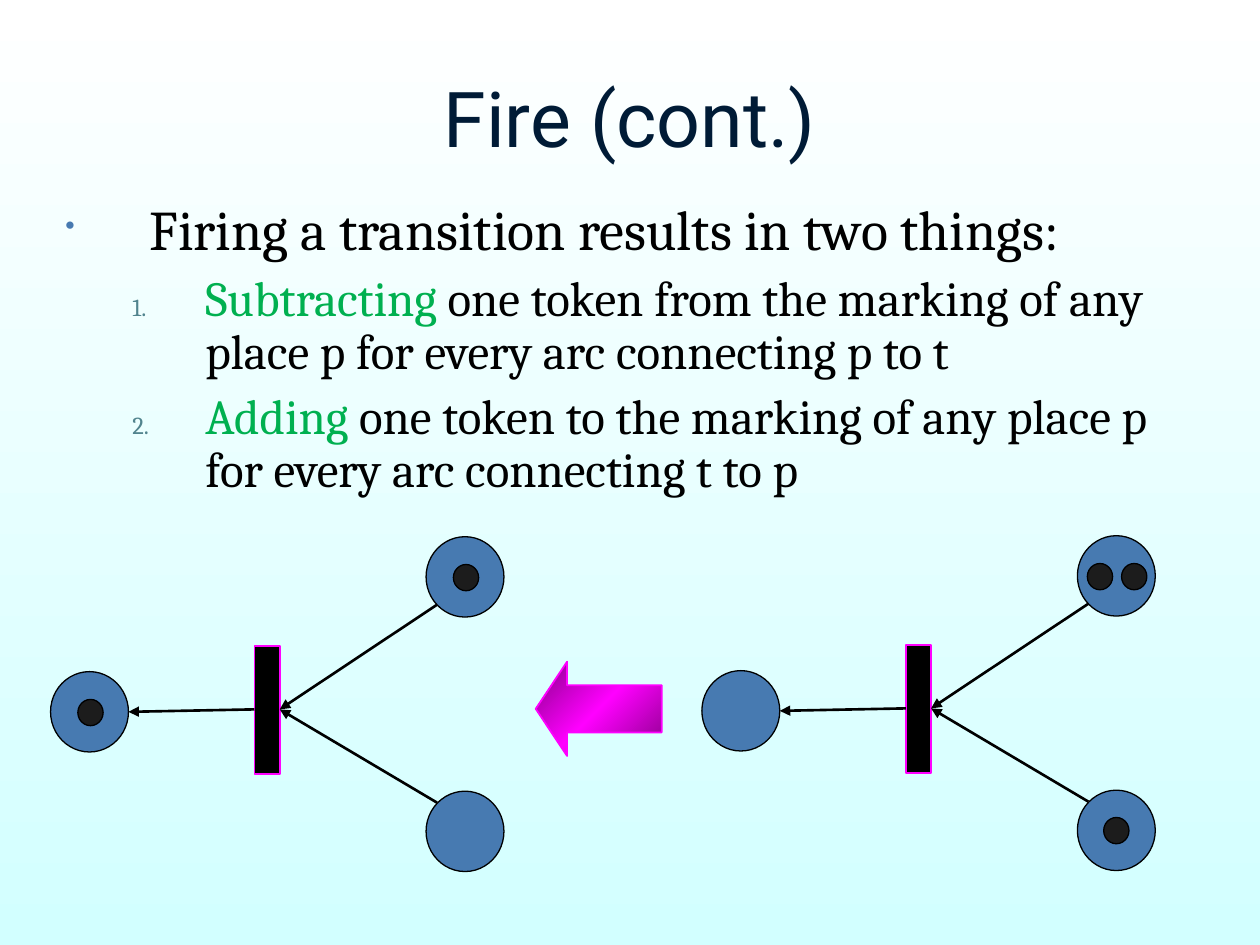
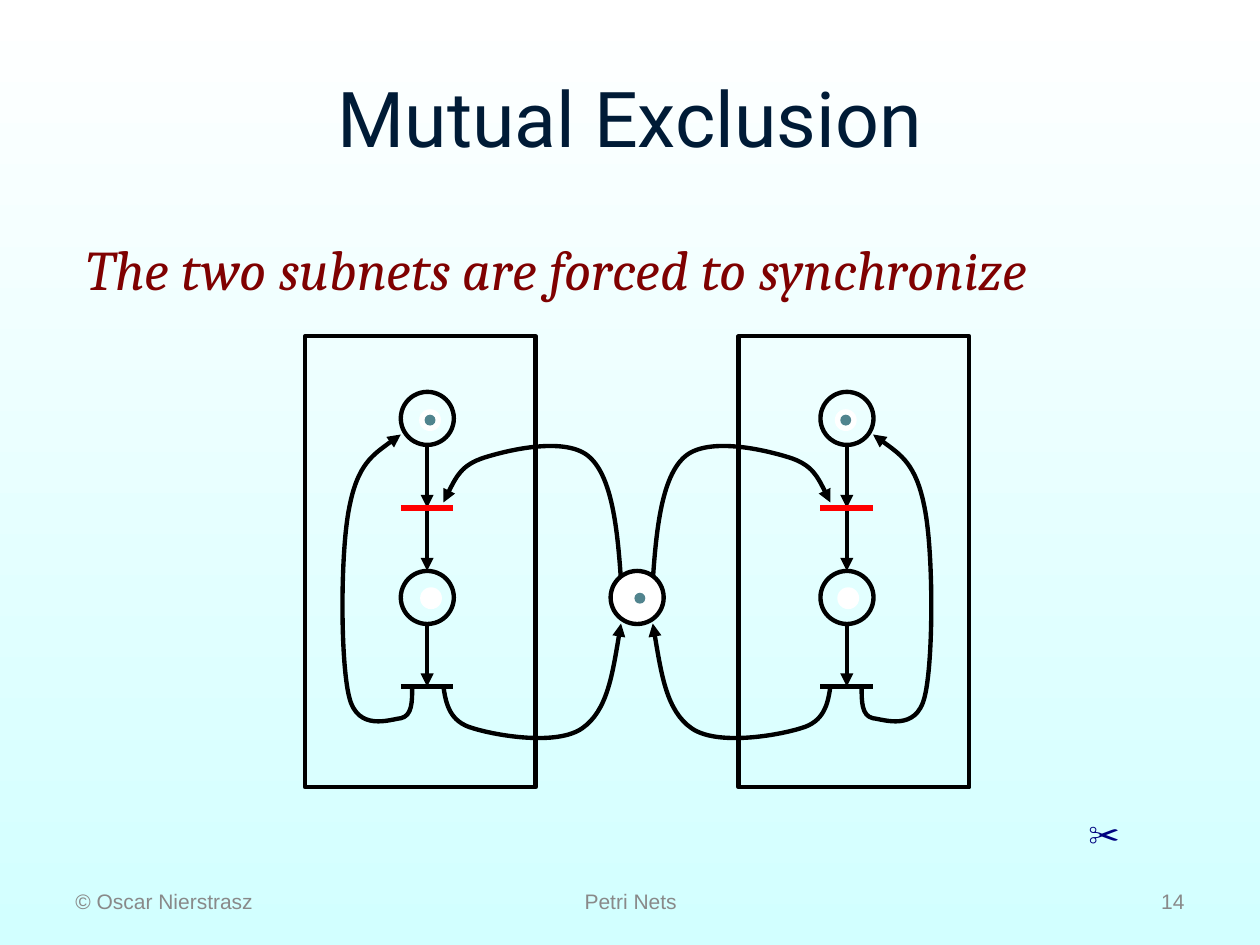
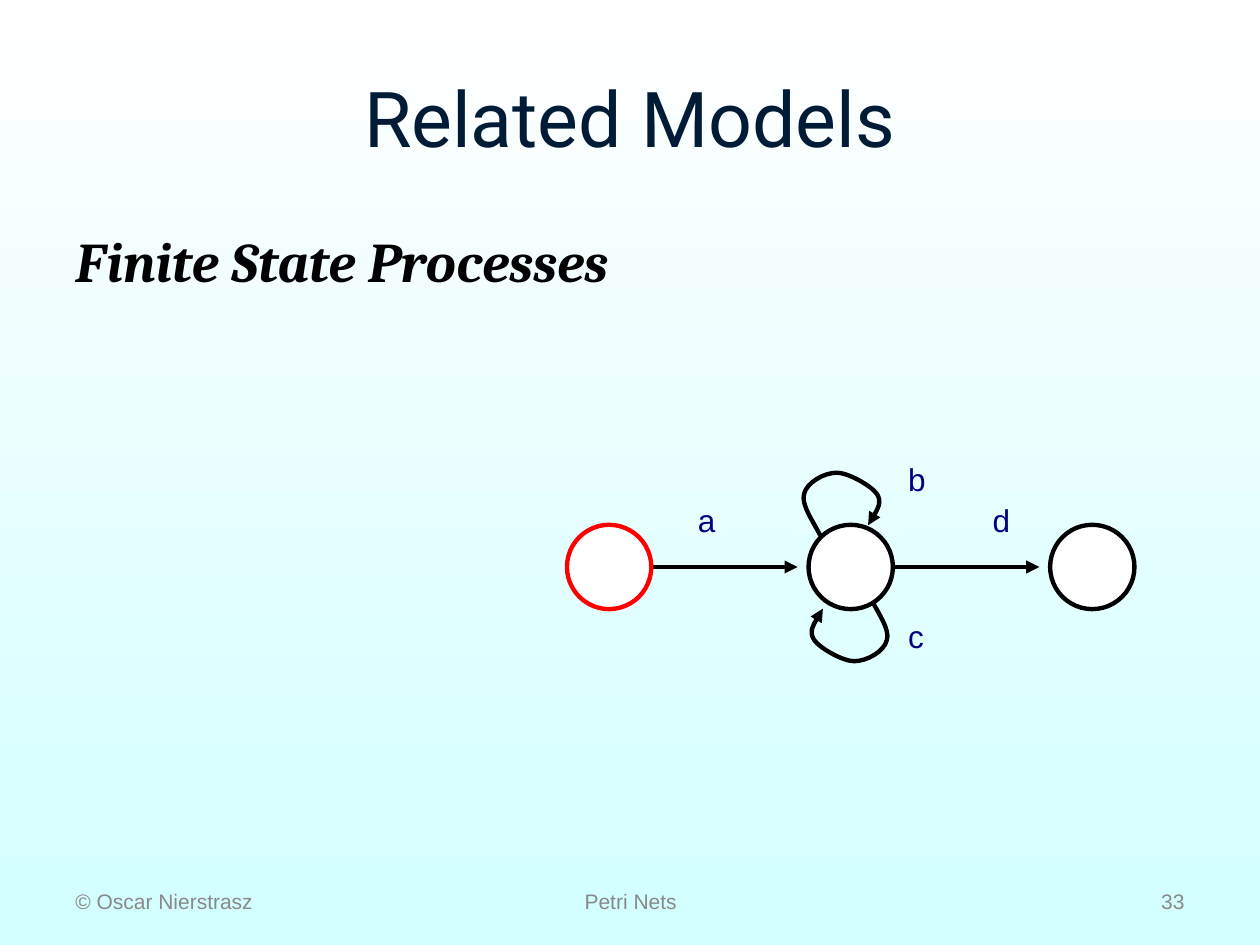
"""Build three slides about Petri nets and related models."""
from copy import deepcopy

from lxml import etree
from pptx import Presentation
from pptx.dml.color import RGBColor
from pptx.enum.shapes import MSO_CONNECTOR, MSO_SHAPE
from pptx.enum.text import MSO_ANCHOR, PP_ALIGN
from pptx.oxml.ns import qn
from pptx.util import Cm, Pt

OVAL, RECTANGLE, LEFT_ARROW = MSO_SHAPE.OVAL, MSO_SHAPE.RECTANGLE, MSO_SHAPE.LEFT_ARROW
STRAIGHT = MSO_CONNECTOR.STRAIGHT
LEFT, CENTER, RIGHT = PP_ALIGN.LEFT, PP_ALIGN.CENTER, PP_ALIGN.RIGHT
TOP, MIDDLE = MSO_ANCHOR.TOP, MSO_ANCHOR.MIDDLE
LINE, CURVE = "line", "curve"

BLACK = RGBColor(0x00, 0x00, 0x00)
WHITE = RGBColor(0xFF, 0xFF, 0xFF)
PALE_CYAN = RGBColor(0xD2, 0xFF, 0xFF)
NAVY = RGBColor(0x00, 0x1B, 0x36)
LABEL_BLUE = RGBColor(0x00, 0x02, 0x7F)
GREY = RGBColor(0x89, 0x89, 0x89)
BLUE = RGBColor(0x47, 0x7A, 0xB1)
TEAL = RGBColor(0x51, 0x84, 0x8E)
GREEN = RGBColor(0x00, 0xB0, 0x50)
DARK_RED = RGBColor(0x7F, 0x01, 0x01)
RED = RGBColor(0xFF, 0x00, 0x00)
CHARCOAL = RGBColor(0x1C, 0x1C, 0x1C)
MAGENTA = RGBColor(0xFF, 0x00, 0xFF)
PURPLE = RGBColor(0x8A, 0x00, 0x8A)


def add_text(page, place, text, *, size=18, font="Arial", color=LABEL_BLUE, align=LEFT,
             anchor=TOP, bold=False, italic=False, wrap=True):
    """Add a text box; text is a string or paragraphs of (text, size, color) spans."""
    box = page.shapes.add_textbox(*[Cm(length) for length in place])
    frame = box.text_frame
    frame.word_wrap = wrap
    frame.vertical_anchor = anchor
    rows = [[(text, size, color)]] if isinstance(text, str) else text
    for index, row in enumerate(rows):
        paragraph = frame.add_paragraph() if index else frame.paragraphs[0]
        paragraph.alignment = align
        for words, points, ink in row:
            span = paragraph.add_run()
            span.text = words
            span.font.size = Pt(points)
            span.font.name = font
            span.font.color.rgb = ink
            span.font.bold = bold
            span.font.italic = italic
    return box


def draw(page, kind, place, fill=None, line=BLACK, width=2.5, arrow=False):
    """Draw a preset shape, a straight line or a Bezier curve."""
    lengths = [Cm(length) for length in place]
    if kind == LINE:
        figure = page.shapes.add_connector(STRAIGHT, *lengths)
    elif kind == CURVE:
        points = list(zip(lengths[::2], lengths[1::2]))
        builder = page.shapes.build_freeform(*points[0])
        builder.add_line_segments(points[1:], close=False)
        figure = builder.convert_to_shape()
        outline = figure._element.spPr.find(".//" + qn("a:path"))
        corners = outline.findall(qn("a:lnTo"))
        for start in range(0, len(corners), 3):
            bend = etree.SubElement(outline, qn("a:cubicBezTo"))
            for corner in corners[start:start + 3]:
                bend.append(corner[0])
                outline.remove(corner)
    else:
        figure = page.shapes.add_shape(kind, *lengths)
    if kind != LINE and fill is None:
        figure.fill.background()
    elif kind != LINE:
        figure.fill.solid()
        figure.fill.fore_color.rgb = fill
    if line is None:
        figure.line.fill.background()
    else:
        figure.line.color.rgb = line
        figure.line.width = Pt(width)
    if arrow:
        etree.SubElement(figure.line._get_or_add_ln(), qn("a:tailEnd"), type="triangle")
    if kind == LINE:
        etree.SubElement(figure._element.spPr, qn("a:effectLst"))
    else:
        figure.shadow.inherit = False
    return figure


deck = Presentation()
deck.slide_width, deck.slide_height = Cm(25.4), Cm(19.05)

pages = []
for title, number in [("Fire (cont.)", None), ("Mutual Exclusion", "14"),
                      ("Related Models", "33")]:
    page = deck.slides.add_slide(deck.slide_layouts[6])
    pages.append(page)
    backdrop = page.background.fill
    backdrop.gradient()
    backdrop.gradient_angle = 270
    for stop, color, position in zip(backdrop.gradient_stops, (WHITE, PALE_CYAN), (0, 1)):
        stop.color.rgb = color
        stop.position = position
    add_text(page, (1.27, 0.76, 22.86, 3.18), title, size=44, font="Roboto", color=NAVY,
             align=CENTER, anchor=MIDDLE)
    if number:
        for left, width, words, align in [(1.27, 5.92, "© Oscar Nierstrasz", LEFT),
                                          (8.69, 8.05, "Petri Nets", CENTER),
                                          (18.21, 5.92, number, RIGHT)]:
            add_text(page, (left, 17.65, width, 1.02), words, size=12, color=GREY,
                     align=align, anchor=MIDDLE)
fire_page, mutex_page, models_page = pages

body = add_text(fire_page, (1.07, 3.94, 23.27, 6.45), [
    [("Firing a transition results in two things:", 32, BLACK)],
    [("Subtracting", 28, GREEN),
     (" one token from the marking of any place p for every arc connecting p to t", 28, BLACK)],
    [("Adding", 28, GREEN),
     (" one token to the marking of any place p for every arc connecting t to p", 28, BLACK)],
], font="Cambria")
for index, paragraph in enumerate(body.text_frame.paragraphs):
    indent, hang, color = (2.82, 1.47, TEAL) if index else (1.7, 1.7, BLUE)
    properties = paragraph._p.get_or_add_pPr()
    properties.set("marL", str(Cm(indent)))
    properties.set("indent", str(-Cm(hang)))
    tint = etree.SubElement(properties, qn("a:buClr"))
    etree.SubElement(tint, qn("a:srgbClr"), val=str(color))
    etree.SubElement(properties, qn("a:buSzPct"), val="50000")
    if index:
        etree.SubElement(properties, qn("a:buAutoNum"), type="arabicPeriod")
        paragraph.space_before = Pt(7)
    else:
        etree.SubElement(properties, qn("a:buChar"), char="•")
    paragraph.line_spacing = 0.9

NETS = [(13.13, -0.02, [(9.12, 16.5), (8.79, 11.38), (9.48, 11.38)]),
        (0, 0, [(9.14, 11.38), (1.57, 14.1)])]
for across, down, tokens in NETS:
    for left, top in [(8.59, 10.82), (8.59, 15.95), (1.02, 13.54)]:
        draw(fire_page, OVAL, (left + across, top + down, 1.57, 1.62), BLUE, width=0.75)
    draw(fire_page, RECTANGLE, (5.13 + across, 13.03 + down, 0.51, 2.57), BLACK, MAGENTA, 1)
    for x1, y1, x2, y2 in [(8.81, 12.19, 5.64, 14.3), (8.81, 16.18, 5.64, 14.3),
                           (5.13, 14.3, 2.59, 14.35)]:
        draw(fire_page, LINE, (x1 + across, y1 + down, x2 + across, y2 + down),
             width=1.5, arrow=True)
    for left, top in tokens:
        draw(fire_page, OVAL, (left + across, top + down, 0.51, 0.53), CHARCOAL, width=0.75)

big_arrow = draw(fire_page, LEFT_ARROW, (10.8, 13.34, 2.54, 1.9), MAGENTA, MAGENTA, 1)
big_arrow.adjustments[0], big_arrow.adjustments[1] = 0.5, 0.333
big_arrow.fill.gradient()
big_arrow.fill.gradient_angle = 315
stop_list = big_arrow._element.spPr.find(".//" + qn("a:gsLst"))
stop_list.append(deepcopy(stop_list[-1]))
for stop, color, position in zip(big_arrow.fill.gradient_stops,
                                 (PURPLE, MAGENTA, PURPLE), (0, 0.5, 1)):
    stop.color.rgb = color
    stop.position = position

add_text(mutex_page, (1.5, 4.6, 22.4, 1.63), "The two subnets are forced to synchronize",
         size=32, font="Cambria", color=DARK_RED, italic=True)

AXIS = 12.84
RETURN_CURVE = [(4.53, 13.84), (4.53, 14.15), (4.53, 14.43), (4.76, 14.48), (4.97, 14.5),
                (5.63, 14.76), (5.8, 14.05), (5.98, 13.34), (5.98, 11.13), (5.8, 10.24),
                (5.63, 9.35), (5.19, 9.07), (4.76, 8.76)]
RELEASE_CURVE = [(3.9, 13.84), (3.85, 14.2), (3.77, 14.55), (3.31, 14.68), (2.83, 14.83),
                 (1.61, 15.04), (1.1, 14.68), (0.6, 14.33), (0.47, 13.46), (0.32, 12.57)]
ACQUIRE_CURVE = [(0.32, 11.71), (0.39, 10.67), (0.5, 9.63), (0.95, 9.22), (1.41, 8.79),
                 (2.58, 9.07), (3.06, 9.22), (3.54, 9.37), (3.72, 9.75), (3.9, 10.13)]
for side in (1, -1):
    middle = AXIS + side * 4.23
    draw(mutex_page, RECTANGLE, (AXIS + side * 4.37 - 2.32, 6.78, 4.65, 9.09))
    for top in (7.9, 11.51):
        draw(mutex_page, OVAL, (middle - 0.53, top, 1.07, 1.07))
    for start, end in [(8.97, 10.24), (10.24, 11.51), (12.57, 13.84)]:
        draw(mutex_page, LINE, (middle, start, middle, end), arrow=True)
    for curve in (RETURN_CURVE, RELEASE_CURVE, ACQUIRE_CURVE):
        points = [length for x, y in curve for length in (AXIS + side * x, y)]
        draw(mutex_page, CURVE, points, arrow=True)
    for top, color in [(10.24, RED), (13.84, BLACK)]:
        draw(mutex_page, LINE, (middle - 0.53, top, middle + 0.53, top), line=color, width=3)

draw(mutex_page, OVAL, (AXIS - 0.53, 11.51, 1.07, 1.07), WHITE)
for x, y, marked in [(8.67, 8.47, True), (17.05, 8.47, True), (12.9, 12.06, True),
                     (8.69, 12.06, False), (17.1, 12.06, False)]:
    draw(mutex_page, OVAL, (x - 0.22, y - 0.22, 0.44, 0.44), WHITE, None)
    if marked:
        draw(mutex_page, OVAL, (x - 0.11, y - 0.11, 0.22, 0.22), TEAL, None)
add_text(mutex_page, (21.69, 16.31, 0.69, 1.02), "✂", wrap=False)

add_text(models_page, (1.27, 4.45, 22.86, 12.57), "Finite State Processes",
         size=32, font="Cambria", color=BLACK, bold=True, italic=True)

STATE_STEP = 4.87
UPPER_LOOP = [16.54, 10.8, 16.36, 10.46, 16.15, 10.16, 16.21, 9.96, 16.26, 9.73,
              16.61, 9.53, 16.87, 9.53, 17.09, 9.53, 17.55, 9.78, 17.68, 9.96,
              17.78, 10.13, 17.65, 10.36, 17.5, 10.59]
LOWER_LOOP = [(22.86 if index % 2 else 34.09) - length
              for index, length in enumerate(UPPER_LOOP)]
for loop in (UPPER_LOOP, LOWER_LOOP):
    draw(models_page, CURVE, loop, arrow=True)
for index in range(2):
    start = 13.12 + index * STATE_STEP
    draw(models_page, LINE, (start, 11.43, start + 2.96, 11.43), arrow=True)
for index, color in enumerate((RED, BLACK, BLACK)):
    draw(models_page, OVAL, (11.43 + index * STATE_STEP, 10.58, 1.7, 1.7), WHITE, color)
for left, top, label in [(13.82, 9.98, "a"), (18.06, 9.14, "b"),
                         (18.06, 12.32, "c"), (19.76, 9.98, "d")]:
    add_text(models_page, (left, top, 0.86, 1.02), label, wrap=False)

deck.save("out.pptx")
